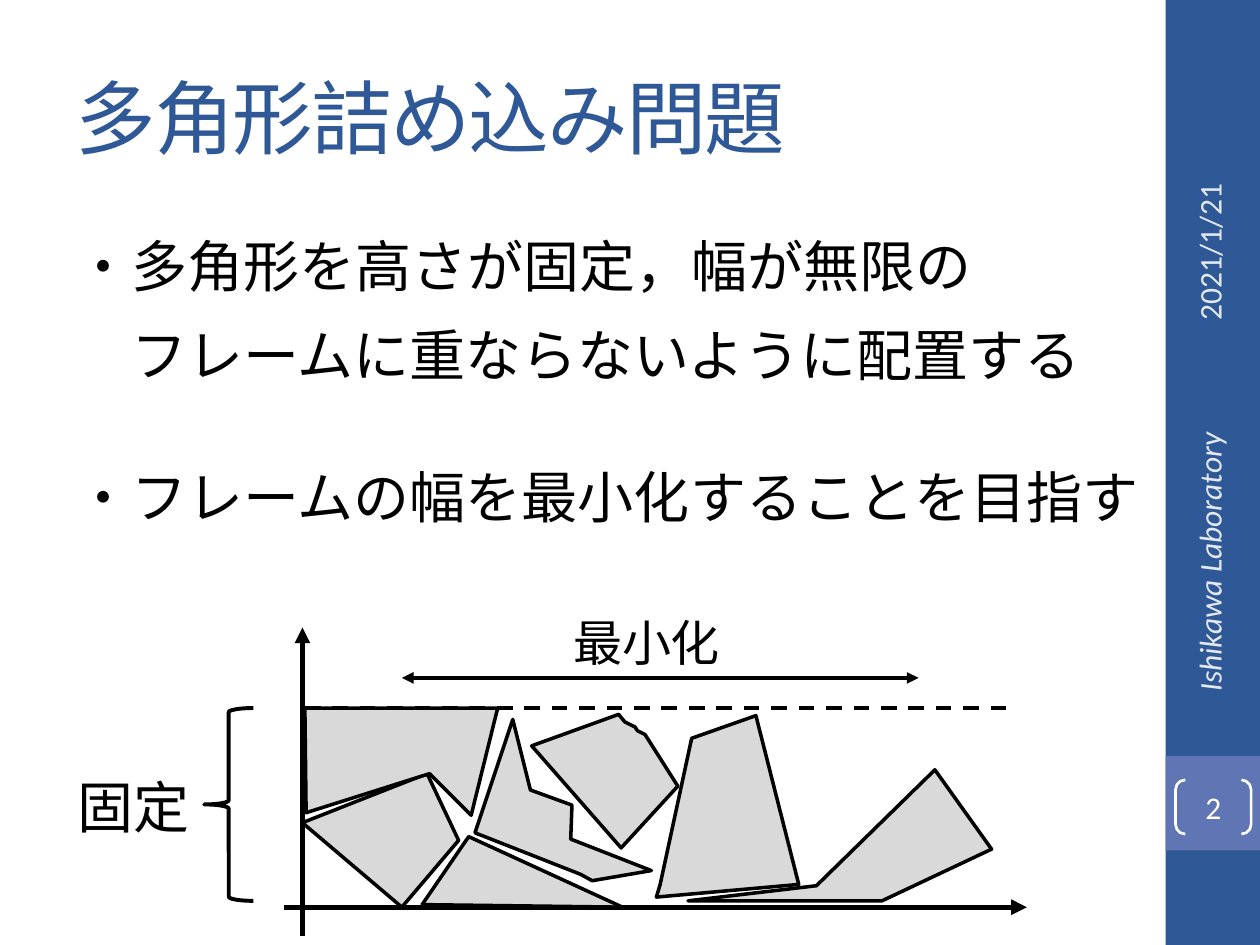
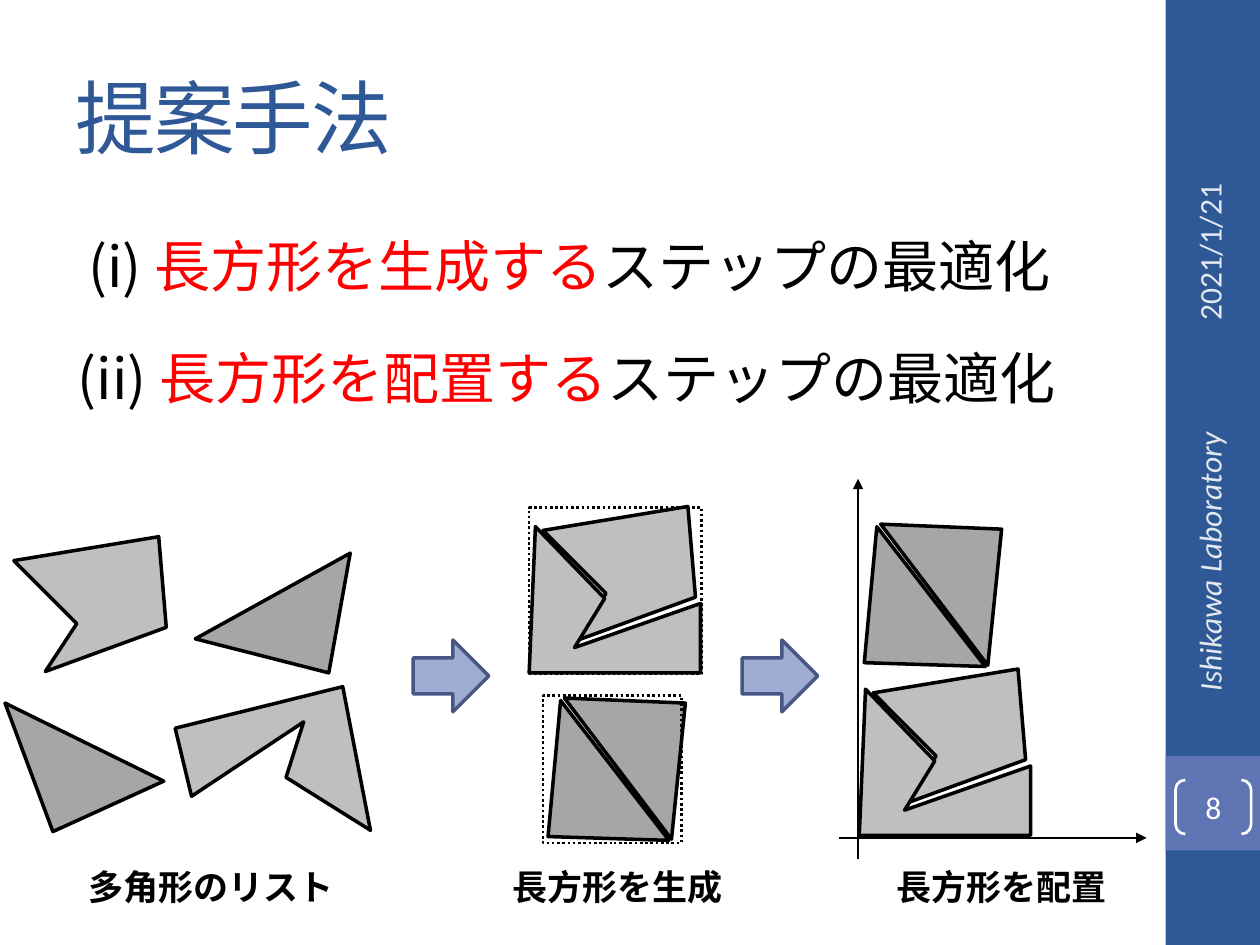
"""Builds two slides on packing polygons into a frame of fixed height."""
from lxml import etree
from pptx import Presentation
from pptx import util as u
from pptx.dml.color import RGBColor
from pptx.enum import dml, shapes, text
from pptx.oxml import ns

COLUMNS, ROWS = 10, 7.5
NAVY = RGBColor(0x2F, 0x58, 0x97)
VIOLET = RGBColor(0x60, 0x76, 0xB4)
MIST = RGBColor(0xE4, 0xE9, 0xEF)
WHITE = RGBColor(0xFF, 0xFF, 0xFF)
BLACK = RGBColor(0, 0, 0)
RED = RGBColor(0xFF, 0, 0)
PALE_GRAY = RGBColor(0xD9, 0xD9, 0xD9)
LIGHT_GRAY = RGBColor(0xBF, 0xBF, 0xBF)
DARK_GRAY = RGBColor(0xA6, 0xA6, 0xA6)
ARROW_FILL = RGBColor(0xA0, 0xAD, 0xD2)
ARROW_EDGE = RGBColor(0x47, 0x57, 0x85)
CJK = "Noto Sans CJK JP"
SHAPE = shapes.MSO_SHAPE
ALIGN = text.PP_ALIGN
CENTER, MIDDLE = ALIGN.CENTER, text.MSO_ANCHOR.MIDDLE
FIT = text.MSO_AUTO_SIZE.SHAPE_TO_FIT_TEXT
DASH, DOTS = dml.MSO_LINE.DASH, dml.MSO_LINE.ROUND_DOT


def apply(target, values):
    for name, value in values.items():
        setattr(target, name, value)


class Deck:
    def __init__(self):
        self.show = Presentation()
        self.show.slide_width = u.Inches(10)
        self.show.slide_height = u.Inches(7.5)
        self.unit = self.show.slide_width // COLUMNS
        self.slide = None

    def grid(self, *cells):
        return [round(cell * self.unit) for cell in cells]

    def new_slide(self, title, number):
        self.slide = self.show.slides.add_slide(self.show.slide_layouts[6])
        self.shape(SHAPE.RECTANGLE, (9.25, 0, 0.75, ROWS), NAVY)
        self.shape(SHAPE.RECTANGLE, (9.25, 6, 0.75, 0.75), VIOLET)
        self.label((0.5, 0.3, 8.33, 1.25), title, 46, "Cambria", NAVY,
                   spacing=-1, frame={"vertical_anchor": MIDDLE})
        for box, words, align, italic in (
                ((8.26, 1.8, 2.67, 0.4), "2021/1/21", CENTER, False),
                ((8.3, 4.43, 2.59, 0.4), "Ishikawa Laboratory", ALIGN.RIGHT, True)):
            side = self.label(box, words, 18, color=MIST, font={"italic": italic},
                              paragraph={"alignment": align},
                              frame={"vertical_anchor": MIDDLE})
            side.rotation = 270
        badge = self.shape(SHAPE.DOUBLE_BRACKET, (9.33, 6.19, 0.6, 0.43),
                           edge=WHITE, width=1.5)
        badge.adjustments[0] = 0.179
        insets = {f"margin_{side}": 0 for side in ("left", "top", "right", "bottom")}
        self.put_text(badge, str(number), 18, color=WHITE,
                      paragraph={"alignment": CENTER},
                      frame={"vertical_anchor": MIDDLE, **insets})

    def put_text(self, holder, words, size, face="Calibri", color=BLACK, spacing=0,
                 font=None, paragraph=None, frame=None):
        body = holder.text_frame
        apply(body, {"word_wrap": True, **(frame or {})})
        line = body.paragraphs[0]
        apply(line, paragraph or {})
        pieces = [(words, color)] if isinstance(words, str) else words
        for piece, tint in pieces:
            run = line.add_run()
            run.text = piece
            apply(run.font, {"size": u.Pt(size), "name": face, **(font or {})})
            run.font.color.rgb = tint
            properties = run.font._element
            etree.SubElement(properties, ns.qn("a:ea"), typeface=CJK)
            if spacing:
                properties.set("spc", str(spacing * 100))

    def label(self, box, words, size, *args, **style):
        holder = self.slide.shapes.add_textbox(*self.grid(*box))
        self.put_text(holder, words, size, *args, **style)
        return holder

    def statement(self, left, top, words, indent=0):
        self.label((left, top, 8.75, 0.58), words, 32, CJK,
                   paragraph={"line_spacing": u.Pt(33)},
                   frame={"auto_size": FIT, "margin_left": self.grid(0.1 + indent)[0]})

    def caption(self, box, words, size, align=ALIGN.LEFT, bold=False):
        self.label(box, words, size, font={"bold": bold},
                   paragraph={"alignment": align}, frame={"auto_size": FIT})

    def paint(self, item, fill, edge, width, dash=None):
        item.shadow.inherit = False
        if fill is None:
            item.fill.background()
        else:
            item.fill.solid()
            item.fill.fore_color.rgb = fill
        if edge is None:
            item.line.fill.background()
        else:
            self.stroke(item.line, edge, width, dash)

    def stroke(self, line, edge, width, dash=None):
        line.color.rgb = edge
        apply(line, {"width": u.Pt(width), "dash_style": dash})

    def shape(self, kind, box, fill=None, edge=None, width=1, dash=None):
        item = self.slide.shapes.add_shape(kind, *self.grid(*box))
        self.paint(item, fill, edge, width, dash)
        return item

    def polygon(self, points, fill, shift=(0, 0)):
        moved = [(round(100 * (x + shift[0])), round(100 * (y + shift[1])))
                 for x, y in points]
        builder = self.slide.shapes.build_freeform(*moved[0], scale=self.unit / 100)
        builder.add_line_segments(moved[1:], close=True)
        self.paint(builder.convert_to_shape(), fill, BLACK, 2)

    def line(self, start, end, width, dash=None, ends=()):
        item = self.slide.shapes.add_connector(
            shapes.MSO_CONNECTOR.STRAIGHT, *self.grid(*start, *end))
        self.stroke(item.line, BLACK, width, dash)
        properties = item._element.spPr
        outline = properties.find(ns.qn("a:ln"))
        for tip in ends:
            etree.SubElement(outline, ns.qn(f"a:{tip}"), type="triangle")
        etree.SubElement(properties, ns.qn("a:effectLst"))


PACKED = [
    [(2.4, 6.53), (3.19, 7.2), (3.64, 6.67), (3.39, 6.14)],
    [(3.35, 7.18), (3.72, 6.64), (4.94, 7.2)],
    [(4.7, 6.99), (4.61, 6.94), (3.77, 6.61), (4.07, 5.71), (4.21, 6.27),
     (4.54, 6.39), (4.53, 6.66), (5.17, 6.91)],
    [(3.41, 6.14), (3.74, 6.47), (3.95, 5.62), (2.42, 5.62), (2.43, 6.45)],
    [(5.12, 5.83), (5.06, 5.8), (5.04, 5.77), (5, 5.75), (4.96, 5.73),
     (4.91, 5.67), (4.22, 5.92), (4.93, 6.73), (5.38, 6.24)],
    [(5.21, 7.12), (5.24, 7.02), (5.49, 5.86), (6, 5.68), (6.34, 7.02)],
    [(5.46, 7.15), (7, 7.15), (7.87, 6.74), (7.42, 6.11), (6.48, 7.03)],
]
NOTCHED = [(0.61, 4.95), (0.36, 5.33), (1.32, 4.98), (1.26, 4.26), (0.11, 4.45)]
HOOKED = [(2.94, 6.59), (2.27, 6.17), (2.41, 5.73), (1.52, 6.32), (1.39, 5.78),
          (2.72, 5.45)]
LISTED_TRIANGLES = [
    [(0.04, 5.58), (1.3, 6.2), (0.42, 6.6)],
    [(1.55, 5.07), (2.78, 4.39), (2.61, 5.34)],
]
CRADLE = [(4.25, 4.18), (4.8, 4.75), (4.56, 5.14), (5.56, 4.79), (5.56, 5.34),
          (4.2, 5.34)]
PAIRED_TRIANGLES = [
    [(4.45, 5.56), (5.31, 6.67), (4.35, 6.64)],
    [(5.33, 6.66), (4.48, 5.54), (5.44, 5.58)],
]


def packing_problem(deck):
    deck.new_slide("多角形詰め込み問題", 2)
    deck.statement(0.5, 1.86, "・多角形を高さが固定，幅が無限の")
    deck.statement(0.5, 2.57, "フレームに重ならないように配置する", indent=0.44)
    deck.statement(0.5, 3.7, "・フレームの幅を最小化することを目指す")
    deck.caption((0.52, 6.08, 1.26, 0.64), "固定", 32)
    deck.line((2.4, 7.43), (2.4, 4.98), 3, ends=["tailEnd"])
    deck.line((2.25, 7.2), (8.15, 7.2), 3, ends=["tailEnd"])
    for piece in PACKED:
        deck.polygon(piece, PALE_GRAY)
    deck.line((2.42, 5.62), (8, 5.62), 2.25, DASH)
    deck.shape(SHAPE.LEFT_BRACE, (1.62, 5.62, 0.39, 1.53), edge=BLACK, width=2.25)
    deck.line((3.19, 5.38), (7.29, 5.38), 2.25, ends=["headEnd", "tailEnd"])
    deck.caption((4.45, 4.81, 1.49, 0.57), "最小化", 28)


def rectangle_pieces(deck, notched_shift, cradle_shift, triangle_shift):
    deck.polygon(NOTCHED, LIGHT_GRAY, notched_shift)
    deck.polygon(CRADLE, LIGHT_GRAY, cradle_shift)
    for triangle in PAIRED_TRIANGLES:
        deck.polygon(triangle, DARK_GRAY, triangle_shift)


def proposed_method(deck):
    deck.new_slide("提案手法", 8)
    for left, top, number, step, indent in (
            (0.5, 1.86, "(i) ", "長方形を生成する", 0.1),
            (0.52, 2.75, "(ii) ", "長方形を配置する", 0)):
        deck.statement(left, top, [(number, BLACK), (step, RED),
                                   ("ステップの最適化", BLACK)], indent)
    for piece in (NOTCHED, HOOKED):
        deck.polygon(piece, LIGHT_GRAY)
    for triangle in LISTED_TRIANGLES:
        deck.polygon(triangle, DARK_GRAY)
    rectangle_pieces(deck, (4.2, -0.24), (0, 0), (0, 0))
    for bounds in ((4.2, 4.03, 1.37, 1.32), (4.31, 5.52, 1.1, 1.17)):
        deck.shape(SHAPE.RECTANGLE, bounds, edge=BLACK, width=1.5, dash=DOTS)
    rectangle_pieces(deck, (6.82, 1.05), (2.62, 1.29), (2.51, -1.38))
    deck.line((6.81, 6.82), (6.81, 3.8), 1.5, ends=["tailEnd"])
    deck.line((6.66, 6.65), (9.1, 6.65), 1.5, ends=["tailEnd"])
    for left in (3.28, 5.89):
        deck.shape(SHAPE.RIGHT_ARROW, (left, 5.08, 0.6, 0.57),
                   ARROW_FILL, ARROW_EDGE, 2)
    for left, stage, align in ((0.6, "多角形のリスト", ALIGN.LEFT),
                               (3.76, "長方形を生成", CENTER),
                               (6.81, "長方形を配置", CENTER)):
        deck.caption((left, 6.82, 2.28, 0.44), stage, 20, align, bold=True)


def main():
    deck = Deck()
    packing_problem(deck)
    proposed_method(deck)
    deck.show.save("out.pptx")


if __name__ == "__main__":
    main()
